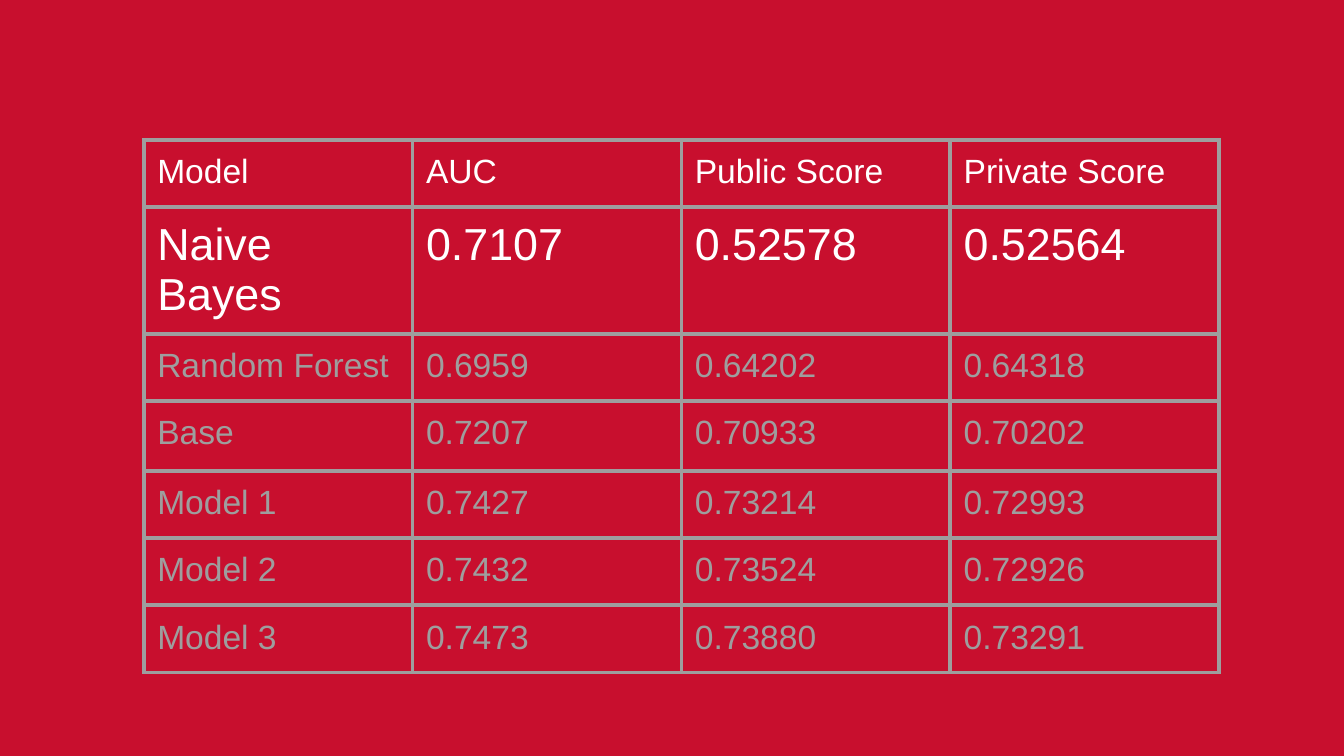
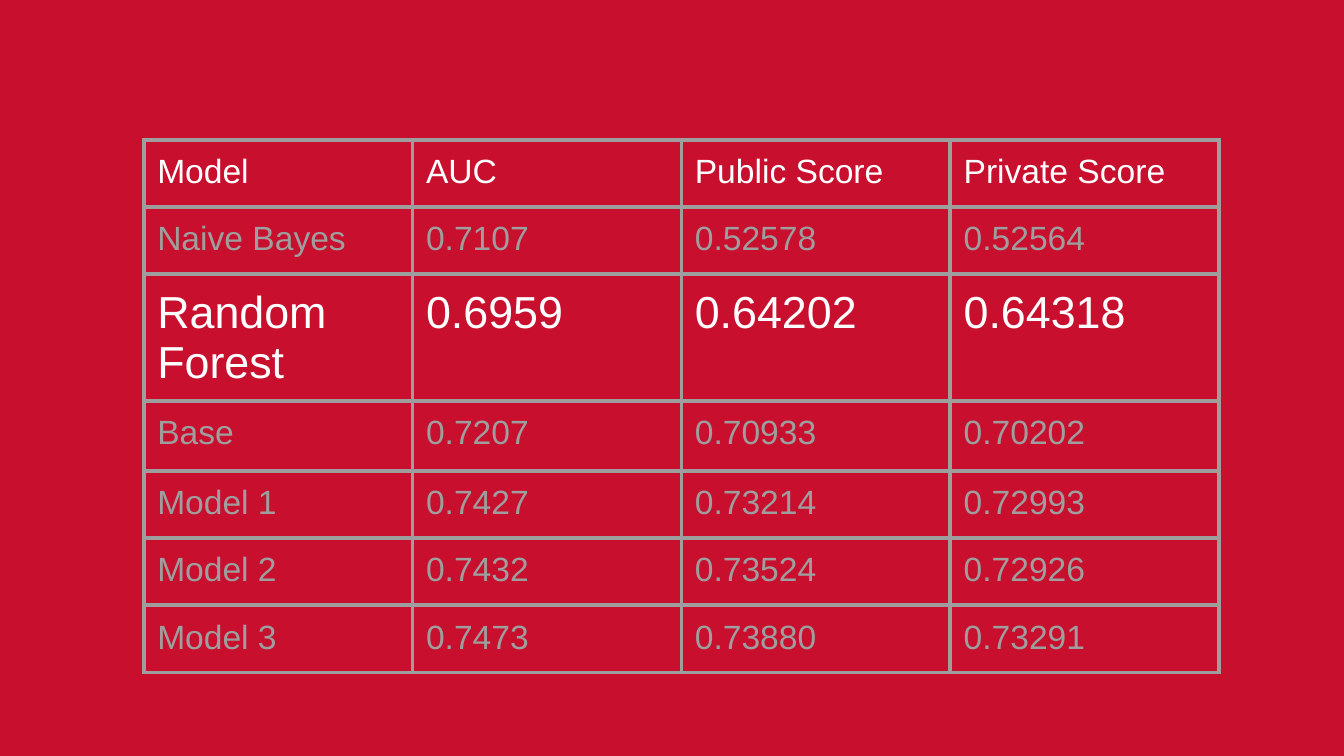
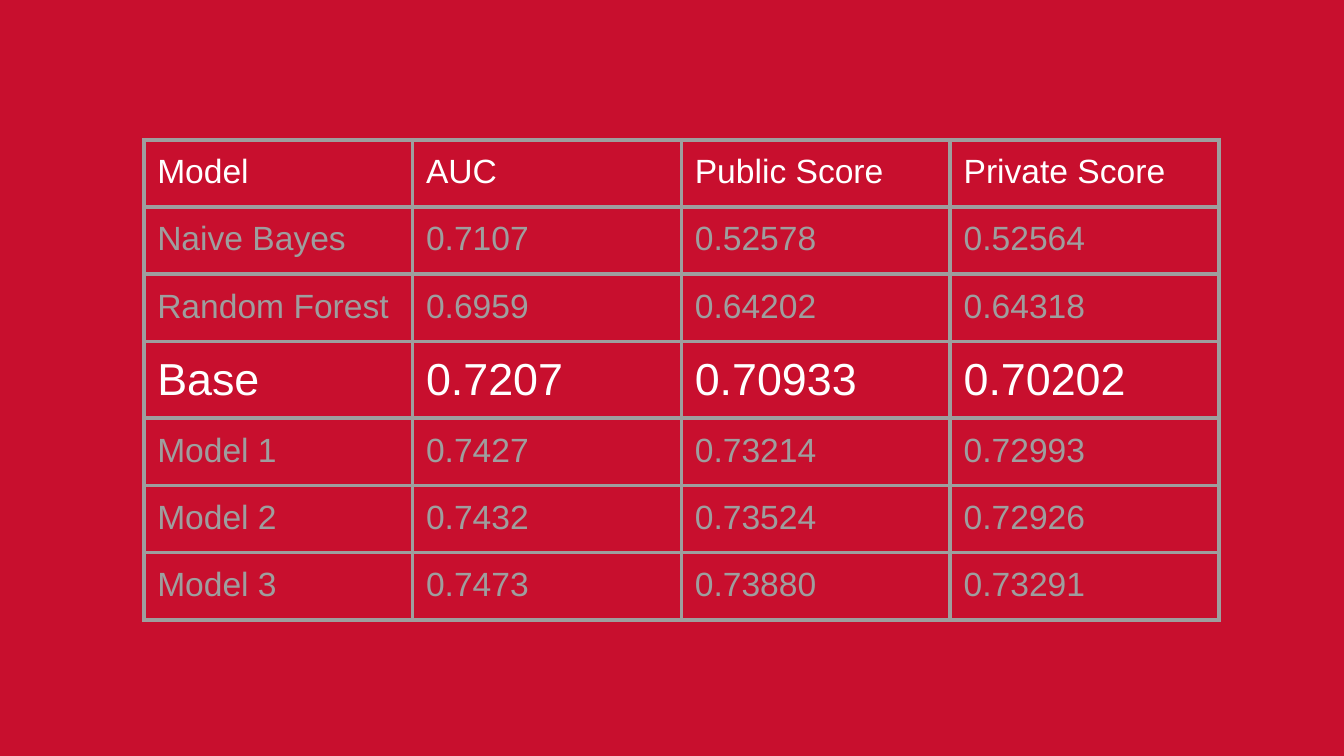
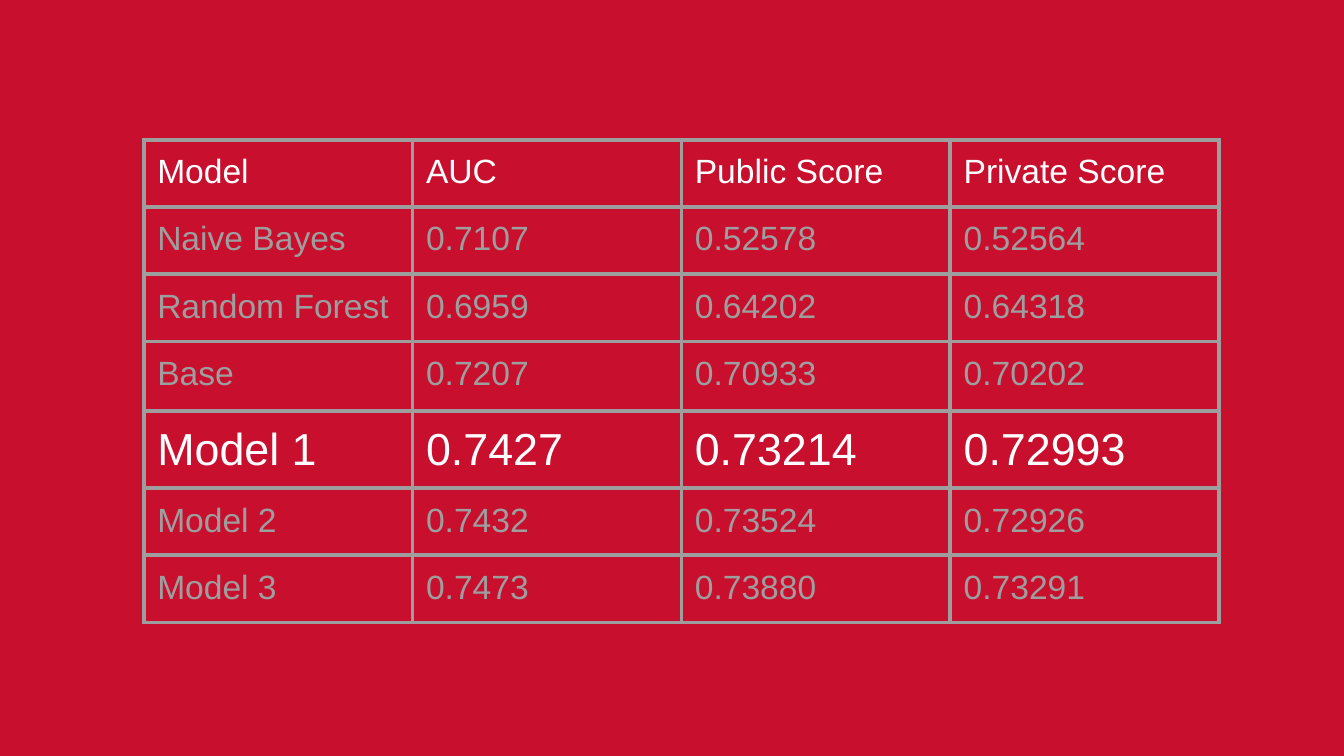
from lxml.etree import SubElement
from pptx import Presentation
from pptx.dml.color import RGBColor
from pptx.oxml import parse_xml
from pptx.oxml.ns import nsdecls
from pptx.util import Inches, Pt

COLORS = {"background": "C80F2E", "muted": "9E9E9E", "bright": "FFFFFF"}
FONT = "Arial"
GRID_COLUMNS = 20
BORDER_WIDTH = Pt(2.25)
BORDER_SIDES = ("lnL", "lnR", "lnT", "lnB")
CELL_MARGINS = dict.fromkeys(
    ("margin_left", "margin_right", "margin_top", "margin_bottom"), Inches(0.1)
)
TEXT_STYLES = {
    "header": {"size": Pt(18), "color": "bright"},
    "highlight": {"size": Pt(24), "color": "bright"},
    "muted": {"size": Pt(18), "color": "muted"},
}

TABLE_LEFT, TABLE_TOP = 2.14, 2.08
COLUMN_WIDTH = 4
ROW_HEIGHTS = (1, 1, 1, 1.04, 1, 1, 1)
HEADER = ("Model", "AUC", "Public Score", "Private Score")
SCORES = (
    ("Naive Bayes", "0.7107", "0.52578", "0.52564"),
    ("Random Forest", "0.6959", "0.64202", "0.64318"),
    ("Base", "0.7207", "0.70933", "0.70202"),
    ("Model 1", "0.7427", "0.73214", "0.72993"),
    ("Model 2", "0.7432", "0.73524", "0.72926"),
    ("Model 3", "0.7473", "0.73880", "0.73291"),
)
HIGHLIGHTED_MODELS = ("Naive Bayes", "Random Forest", "Base", "Model 1")


def set_attributes(target, values):
    for name, value in values.items():
        setattr(target, name, value)


class Deck:
    def __init__(self):
        self.presentation = Presentation()
        self.presentation.slide_width = Inches(10)
        self.presentation.slide_height = Inches(10 * 9 / 16)
        self.unit = self.presentation.slide_width / GRID_COLUMNS
        self.slide = None

    def grid(self, count):
        return round(count * self.unit)

    def add_slide(self):
        self.slide = self.presentation.slides.add_slide(
            self.presentation.slide_layouts[6]
        )
        fill = self.slide.background.fill
        fill.solid()
        fill.fore_color.rgb = RGBColor.from_string(COLORS["background"])

    def add_table(self, rows, styles, left, top, column_width, row_heights):
        column_count = len(rows[0])
        table = self.slide.shapes.add_table(
            len(rows),
            column_count,
            self.grid(left),
            self.grid(top),
            self.grid(column_width * column_count),
            self.grid(sum(row_heights)),
        ).table
        set_attributes(table, {"first_row": False, "horz_banding": False})
        for row, texts, style, height in zip(table.rows, rows, styles, row_heights):
            row.height = self.grid(height)
            for cell, text in zip(row.cells, texts):
                self.fill_cell(cell, text, TEXT_STYLES[style])

    def fill_cell(self, cell, text, style):
        set_attributes(cell, CELL_MARGINS)
        cell.fill.background()
        self.add_borders(cell)
        run = cell.text_frame.paragraphs[0].add_run()
        run.text = text
        set_attributes(run.font, {"name": FONT, "size": style["size"]})
        run.font.color.rgb = RGBColor.from_string(COLORS[style["color"]])

    def add_borders(self, cell):
        properties = cell._tc.get_or_add_tcPr()
        for position, side in enumerate(BORDER_SIDES):
            border = parse_xml(
                f'<a:{side} {nsdecls("a")} w="{BORDER_WIDTH}"><a:solidFill>'
                f'<a:srgbClr val="{COLORS["muted"]}"/></a:solidFill></a:{side}>'
            )
            SubElement(border, f"{{{border.nsmap['a']}}}prstDash", val="solid")
            properties.insert(position, border)


def main():
    deck = Deck()
    for model in HIGHLIGHTED_MODELS:
        deck.add_slide()
        styles = ["header"] + [
            "highlight" if scores[0] == model else "muted" for scores in SCORES
        ]
        deck.add_table(
            (HEADER, *SCORES), styles, TABLE_LEFT, TABLE_TOP, COLUMN_WIDTH, ROW_HEIGHTS
        )
    deck.presentation.save("out.pptx")


if __name__ == "__main__":
    main()
